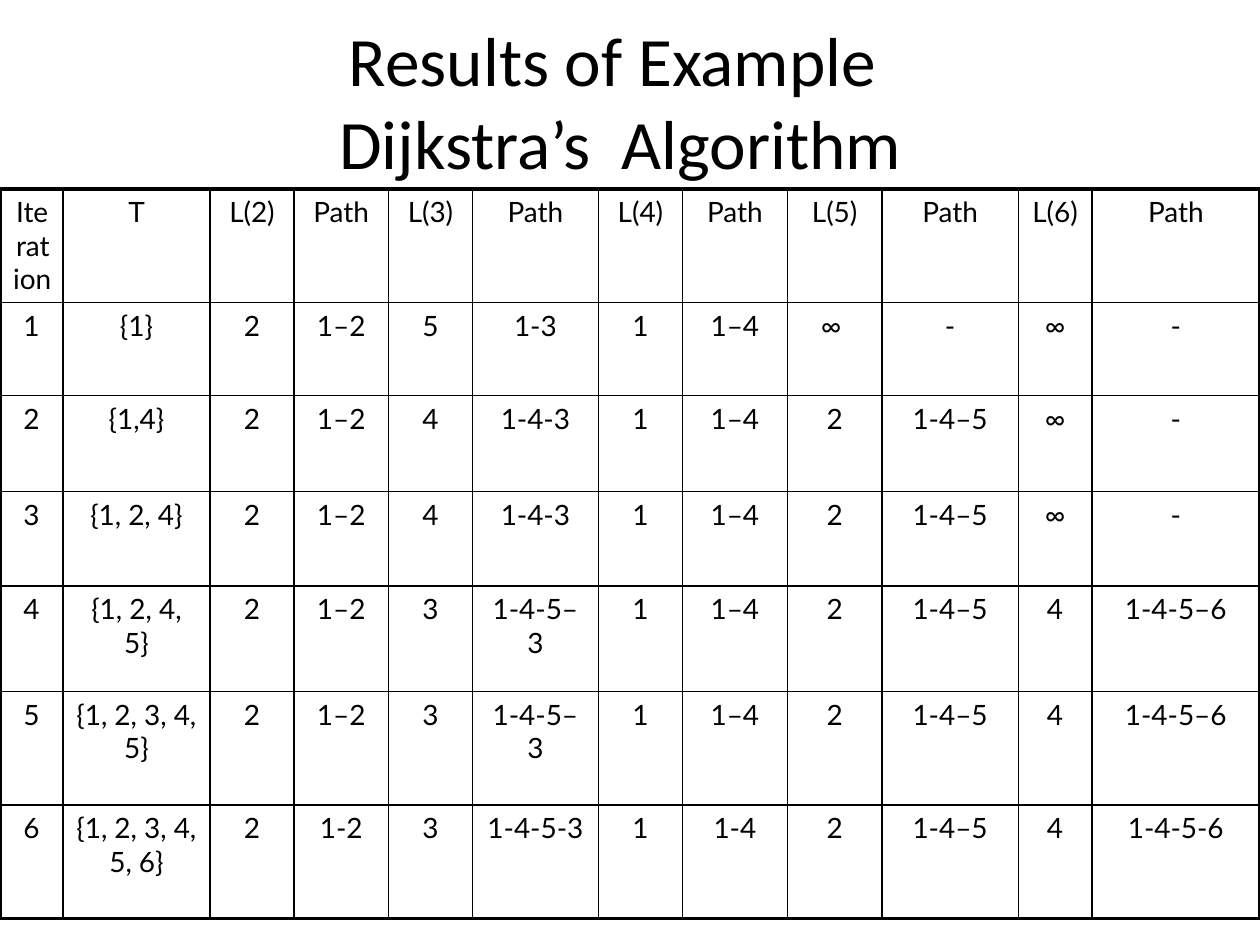
from lxml.etree import SubElement
from pptx import Presentation
from pptx.dml.color import RGBColor
from pptx.enum.text import MSO_ANCHOR, PP_ALIGN
from pptx.oxml.ns import qn
from pptx.util import Inches, Pt

COLORS = {"ink": "000000", "paper": "FFFFFF"}
TITLE = "Results of Example \vDijkstra’s  Algorithm"
THIN, THICK = 1, 2.25

# Column widths in twelfths of an inch, row heights in inches
COLUMN_TWELFTHS = [6, 14, 8, 9, 8, 12, 8, 10, 9, 13, 7, 16]
ROW_HEIGHTS = [0.9, 0.74, 0.76, 0.75, 0.84, 0.9, 0.9]

HEADER = ["Iteration ", "T"]
for node in range(2, 7):
    HEADER += [f"L({node})", "Path"]

# Iteration, T, then the distance and path for nodes 2 to 6
ITERATIONS = [
    ["1", "{1}", "2", "1–2", "5", "1-3", "1", "1–4", "∞ ", "-", "∞", "-"],
    ["2", "{1,4}", "2", "1–2", "4", "1-4-3", "1", "1–4", "2", "1-4–5", "∞", "-"],
    ["3", "{1, 2, 4}", "2", "1–2", "4", "1-4-3", "1", "1–4", "2", "1-4–5", "∞", "-"],
    ["4", "{1, 2, 4, 5}", "2", "1–2", "3", "1-4-5–3", "1", "1–4", "2", "1-4–5", "4", "1-4-5–6"],
    ["5", "{1, 2, 3, 4, 5}", "2", "1–2", "3", "1-4-5–3", "1", "1–4", "2", "1-4–5", "4", "1-4-5–6"],
    ["6", "{1, 2, 3, 4, 5, 6}", "2", "1-2", "3", "1-4-5-3", "1", "1-4", "2", "1-4–5", "4", "1-4-5-6"],
]


def style_paragraph(paragraph, font_name, size):
    paragraph.alignment = PP_ALIGN.CENTER
    paragraph.font.name = font_name
    paragraph.font.size = Pt(size)
    paragraph.font.color.rgb = RGBColor.from_string(COLORS["ink"])


def add_title(slide):
    title = slide.shapes.add_textbox(Inches(0.44), Inches(0.17), Inches(8.97), Inches(1.25))
    frame = title.text_frame
    frame.word_wrap = True
    frame.vertical_anchor = MSO_ANCHOR.MIDDLE
    frame.text = TITLE
    style_paragraph(frame.paragraphs[0], "Calibri", 39.6)


def set_borders(cell, widths):
    """Draw the left, right, top and bottom borders, given in points."""
    properties = cell._tc.get_or_add_tcPr()
    for side, width in zip("LRTB", widths):
        line = SubElement(properties, qn(f"a:ln{side}"), w=str(Pt(width)))
        fill = SubElement(line, qn("a:solidFill"))
        SubElement(fill, qn("a:srgbClr"), val=COLORS["ink"])


def add_results_table(slide):
    rows = [HEADER] + ITERATIONS
    last_row, last_column = len(rows) - 1, len(HEADER) - 1
    results = slide.shapes.add_table(
        len(rows), len(HEADER), Inches(0), Inches(1.5),
        Inches(sum(COLUMN_TWELFTHS) / 12), Inches(sum(ROW_HEIGHTS))).table
    results.first_row = results.horz_banding = False
    for column, twelfths in zip(results.columns, COLUMN_TWELFTHS):
        column.width = Inches(twelfths / 12)
    for row, height in zip(results.rows, ROW_HEIGHTS):
        row.height = Inches(height)

    # Thick lines on the outer edge, thin ones inside
    for r, values in enumerate(rows):
        for c, value in enumerate(values):
            cell = results.cell(r, c)
            cell.text = value
            style_paragraph(cell.text_frame.paragraphs[0], "Lato", 16)
            outer = (c == 0, c == last_column, r == 0, r == last_row)
            set_borders(cell, [THICK if edge else THIN for edge in outer])
            cell.fill.background()

    # Slightly more room, so the narrow heading breaks into three lines
    results.cell(0, 0).margin_right = Inches(0.09)


def main():
    presentation = Presentation()
    presentation.slide_width = Inches(10)
    presentation.slide_height = Inches(7.5)
    slide = presentation.slides.add_slide(presentation.slide_layouts[6])
    slide.background.fill.solid()
    slide.background.fill.fore_color.rgb = RGBColor.from_string(COLORS["paper"])

    add_title(slide)
    add_results_table(slide)
    presentation.save("out.pptx")


if __name__ == "__main__":
    main()
